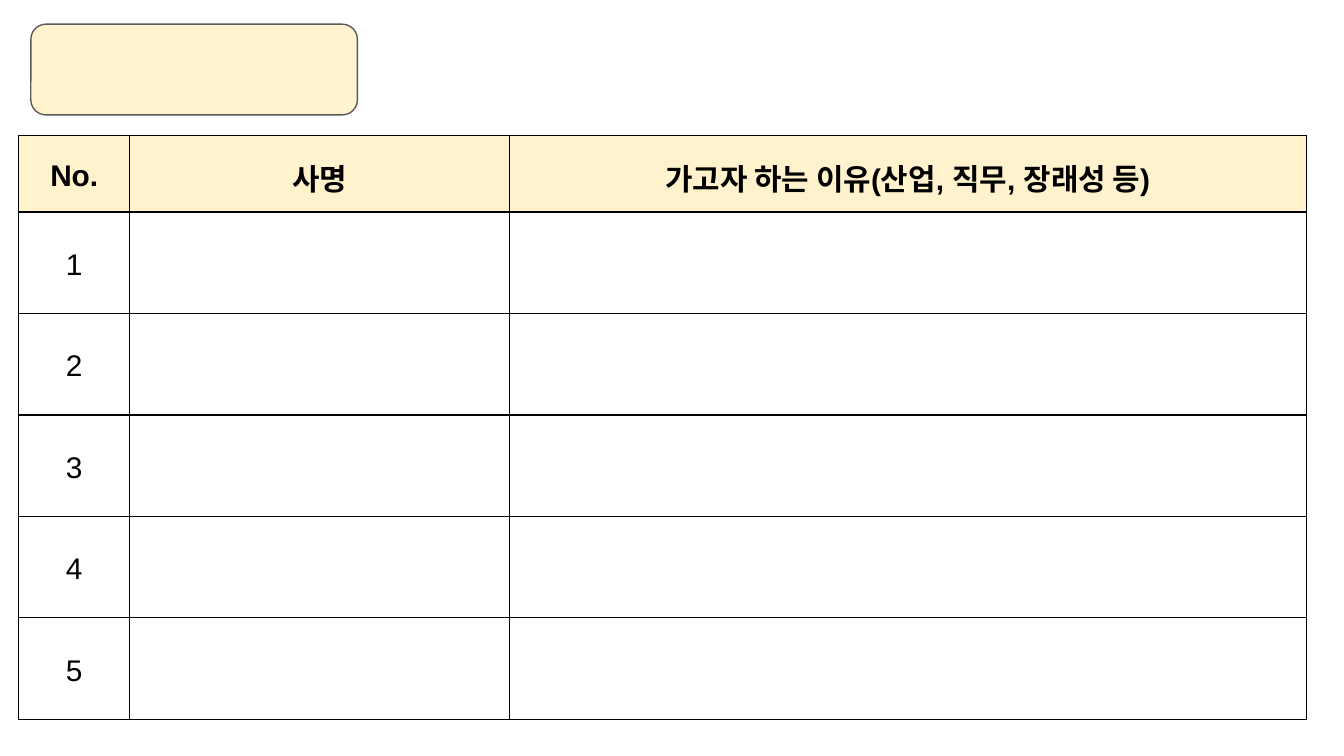
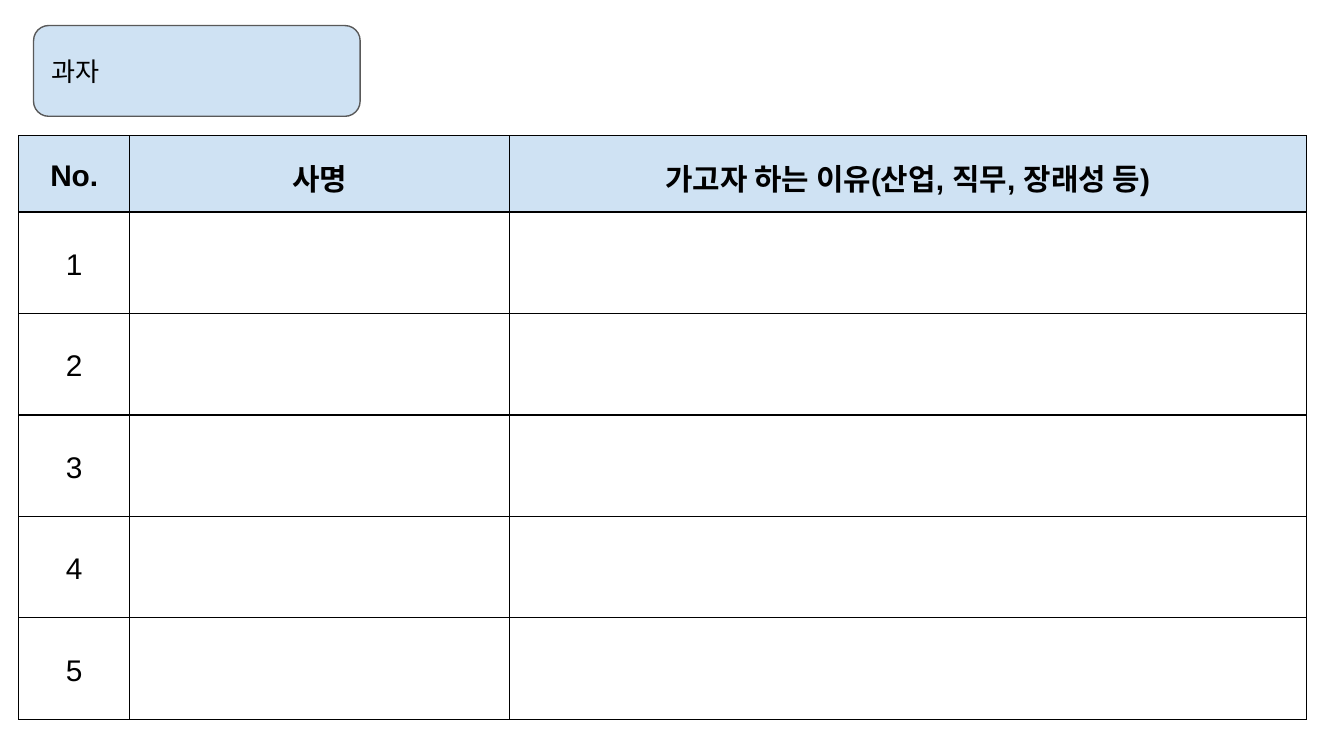
"""Build two company wish-list slides, each with a topic tag and a table."""
from lxml import etree
from pptx import Presentation
from pptx import util as u
from pptx.dml.color import RGBColor
from pptx.enum import shapes, text
from pptx.oxml.ns import qn

PX = 4572
BLACK, GREY = "000000", "595959"
HEADS = ["No.", "사명", "가고자 하는 이유(산업, 직무, 장래성 등)"]
COLS = [165, 565, 1186]
ROWS = [112] + [151] * 5
SLIDES = [("FFF2CC", 46, 36, ""), ("CFE2F3", 50, 38, "과자")]
MARGINS = {f"margin_{side}": 20 * PX for side in ("left", "right", "top", "bottom")}
MIDDLE = {"vertical_anchor": text.MSO_ANCHOR.MIDDLE, **MARGINS}


def rgb(code):
    return RGBColor.from_string(code)


def write(p, words, align, **fmt):
    p.alignment = align
    r = p.add_run()
    r.text = words
    r.font.color.rgb = rgb(BLACK)
    for name, value in {"name": "Arial", **fmt}.items():
        setattr(r.font, name, value)


prs = Presentation()
prs.slide_width, prs.slide_height = 2000 * PX, 1125 * PX

for tint, left, top, topic in SLIDES:
    s = prs.slides.add_slide(prs.slide_layouts[6])

    frame = s.shapes.add_table(len(ROWS), len(COLS), 28 * PX, 202 * PX,
                               sum(COLS) * PX, sum(ROWS) * PX)
    table = frame.table
    table.first_row = table.horz_banding = False
    for col, width in zip(table.columns, COLS):
        col.width = width * PX
    for i, height in enumerate(ROWS):
        table.rows[i].height = height * PX
        words = HEADS if i == 0 else [str(i), "", ""]
        for cell, label in zip(table.rows[i].cells, words):
            for name, value in MIDDLE.items():
                setattr(cell, name, value)
            tcPr = cell._tc.get_or_add_tcPr()
            for side in ("lnL", "lnR", "lnT", "lnB"):
                ln = etree.SubElement(tcPr, qn(f"a:{side}"), w=str(u.Pt(0.75)))
                fill = etree.SubElement(ln, qn("a:solidFill"))
                etree.SubElement(fill, qn("a:srgbClr"), val=BLACK)
            if i == 0:
                cell.fill.solid()
                cell.fill.fore_color.rgb = rgb(tint)
            else:
                cell.fill.background()
            if label:
                p = cell.text_frame.paragraphs[0]
                p.line_spacing = 1.15
                write(p, label, text.PP_ALIGN.CENTER, size=u.Pt(16), bold=i == 0)

    sp = s.shapes.add_shape(shapes.MSO_SHAPE.ROUNDED_RECTANGLE,
                            left * PX, top * PX, 486 * PX, 135 * PX)
    sp.shadow.inherit = False
    sp.fill.solid()
    sp.fill.fore_color.rgb = rgb(tint)
    sp.line.color.rgb = rgb(GREY)
    sp.line.width = u.Pt(0.75)
    tf = sp.text_frame
    for name, value in {"word_wrap": True, **MIDDLE}.items():
        setattr(tf, name, value)
    if topic:
        write(tf.paragraphs[0], topic, text.PP_ALIGN.LEFT, size=u.Pt(14))

prs.save("out.pptx")
